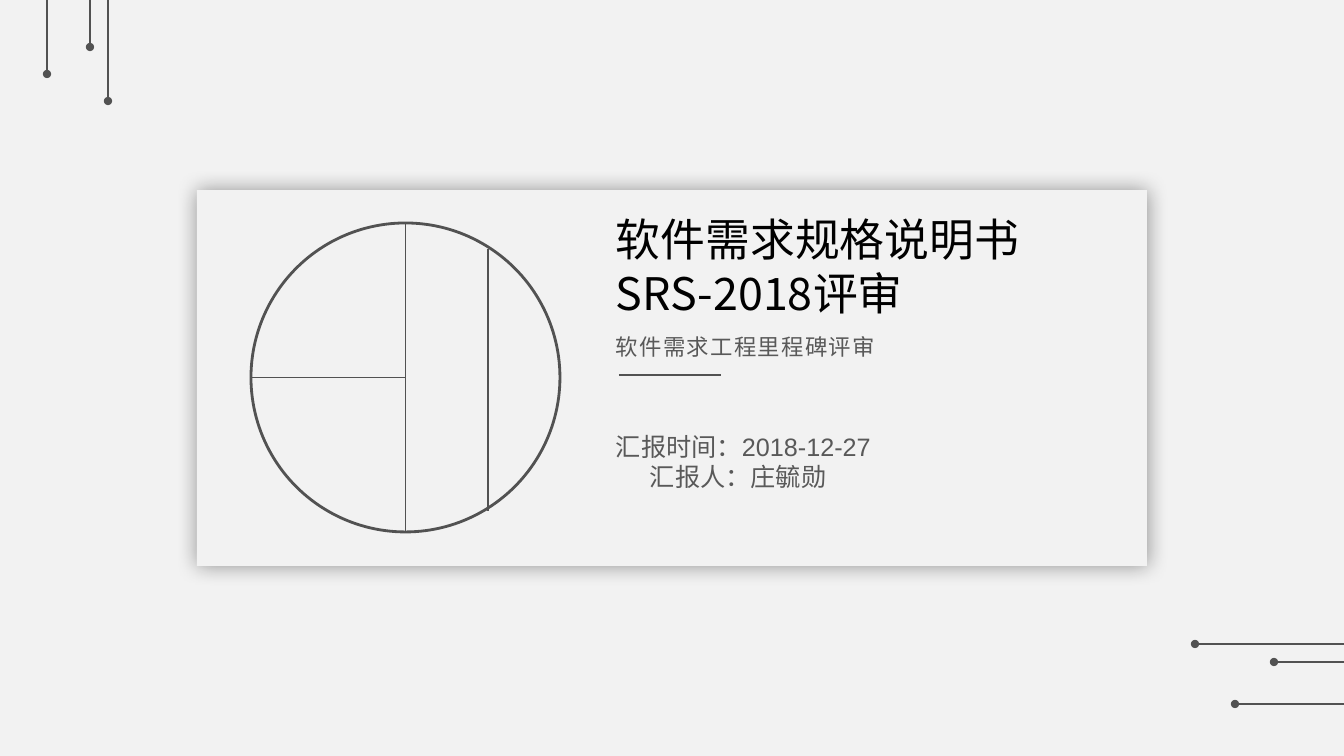
from typing import NamedTuple

from lxml import etree
from pptx import Presentation
from pptx import util as u
from pptx.dml import color
from pptx.enum import shapes, text
from pptx.oxml import ns

EMU_PER_PX = 914400 / 100.8
WIDTH, HEIGHT = 1344, 756
PAPER, INK, BODY, BLACK = "F2F2F2", "525252", "595959", "000000"
CJK_FONT = "Noto Sans CJK SC"


class Rule(NamedTuple):
    x1: int
    y1: int
    x2: int
    y2: int
    weight: float = 1
    dotted_start: bool = False


class Caption(NamedTuple):
    left: int
    top: int
    width: int
    height: int
    lines: tuple[str, ...]
    size: int
    font: str
    tint: str
    spacing: int = 0  # hundredths of a point
    later_indent: int = 0


def px(length: float) -> u.Emu:
    return u.Emu(round(length * EMU_PER_PX))


def rgb(value: str) -> color.RGBColor:
    return color.RGBColor.from_string(value)


def child(parent, tag: str, **attributes):
    return etree.SubElement(parent, ns.qn(tag), attributes)


def draw_rule(slide, rule: Rule) -> None:
    connector = slide.shapes.add_connector(
        shapes.MSO_CONNECTOR.STRAIGHT, px(rule.x1), px(rule.y1), px(rule.x2), px(rule.y2))
    connector.line.color.rgb = rgb(INK)
    connector.line.width = u.Pt(rule.weight)
    if rule.dotted_start:
        child(connector.line._get_or_add_ln(), "a:headEnd", type="oval")
    child(connector._element.spPr, "a:effectLst")


def draw_caption(slide, caption: Caption) -> None:
    box = slide.shapes.add_textbox(
        px(caption.left), px(caption.top), px(caption.width), px(caption.height))
    frame = box.text_frame
    frame.word_wrap = True
    frame.auto_size = text.MSO_AUTO_SIZE.NONE
    frame.text = "\n".join(caption.lines)
    for index, paragraph in enumerate(frame.paragraphs):
        font = paragraph.font
        font.size = u.Pt(caption.size)
        font.name = caption.font
        font.color.rgb = rgb(caption.tint)
        child(font._element, "a:ea", typeface=CJK_FONT)
        if caption.spacing:
            font._element.set("spc", str(caption.spacing))
        if index and caption.later_indent:
            paragraph._p.get_or_add_pPr().set("marL", str(px(caption.later_indent)))


deck = Presentation()
deck.slide_width, deck.slide_height = px(WIDTH), px(HEIGHT)
slide = deck.slides.add_slide(deck.slide_layouts[6])
slide.background.fill.solid()
slide.background.fill.fore_color.rgb = rgb(PAPER)

# Raised card with a soft shadow
card = slide.shapes.add_shape(
    shapes.MSO_SHAPE.RECTANGLE, px(197), px(190), px(950), px(376))
card.fill.solid()
card.fill.fore_color.rgb = rgb(PAPER)
card.line.fill.background()
card.shadow.inherit = False
glow = child(card._element.spPr.find(ns.qn("a:effectLst")), "a:outerShdw",
             blurRad=str(u.Pt(15)), dist=str(u.Pt(1)), dir="2700000",
             algn="ctr", rotWithShape="0")
child(child(glow, "a:srgbClr", val=BLACK), "a:alpha", val="40000")

# Circle emblem and its dividing lines
LEFT, TOP, DIAMETER = 251, 223, 309
CENTRE_X, CENTRE_Y = LEFT + DIAMETER // 2, TOP + DIAMETER // 2
emblem = slide.shapes.add_shape(
    shapes.MSO_SHAPE.OVAL, px(LEFT), px(TOP), px(DIAMETER), px(DIAMETER))
emblem.fill.background()
emblem.line.color.rgb = rgb(INK)
emblem.line.width = u.Pt(2)
emblem.shadow.inherit = False

dividers = [
    Rule(CENTRE_X, TOP, CENTRE_X, TOP + DIAMETER, 0.5),
    Rule(488, 249, 488, 511),
    Rule(LEFT, CENTRE_Y, CENTRE_X, CENTRE_Y, 0.5),
]
underline = Rule(619, 375, 721, 375)

# Dotted lines running off the right and top edges
right_lines = [Rule(x, y, WIDTH, y, dotted_start=True)
               for x, y in ((1195, 644), (1274, 662), (1235, 704))]
top_lines = [Rule(x, y, x, 0, dotted_start=True)
             for x, y in ((108, 101), (90, 47), (47, 74))]

for rule in [*dividers, underline, *right_lines, *top_lines]:
    draw_rule(slide, rule)

# Title, subtitle and presenter details
captions = [
    Caption(606, 207, 553, 173, ("软件需求规格说明书SRS-2018评审",), 32, CJK_FONT, BLACK),
    Caption(606, 328, 514, 37, ("软件需求工程里程碑评审",), 16, "Arial", BODY, spacing=100),
    Caption(606, 426, 290, 72, ("汇报时间：2018-12-27", "汇报人：庄毓勋"), 18, "Arial", BODY,
            later_indent=34),
]
for caption in captions:
    draw_caption(slide, caption)

deck.save("out.pptx")
